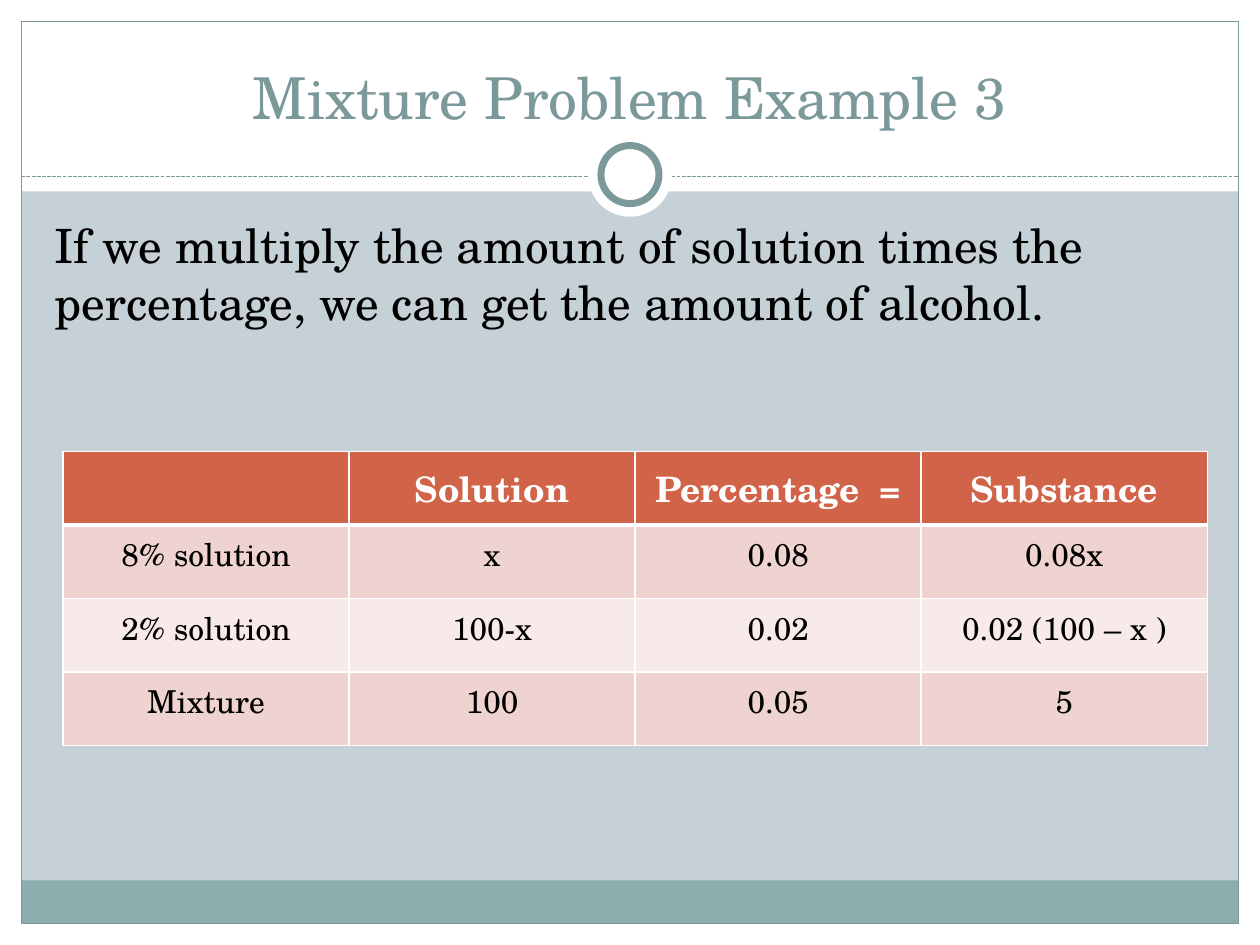
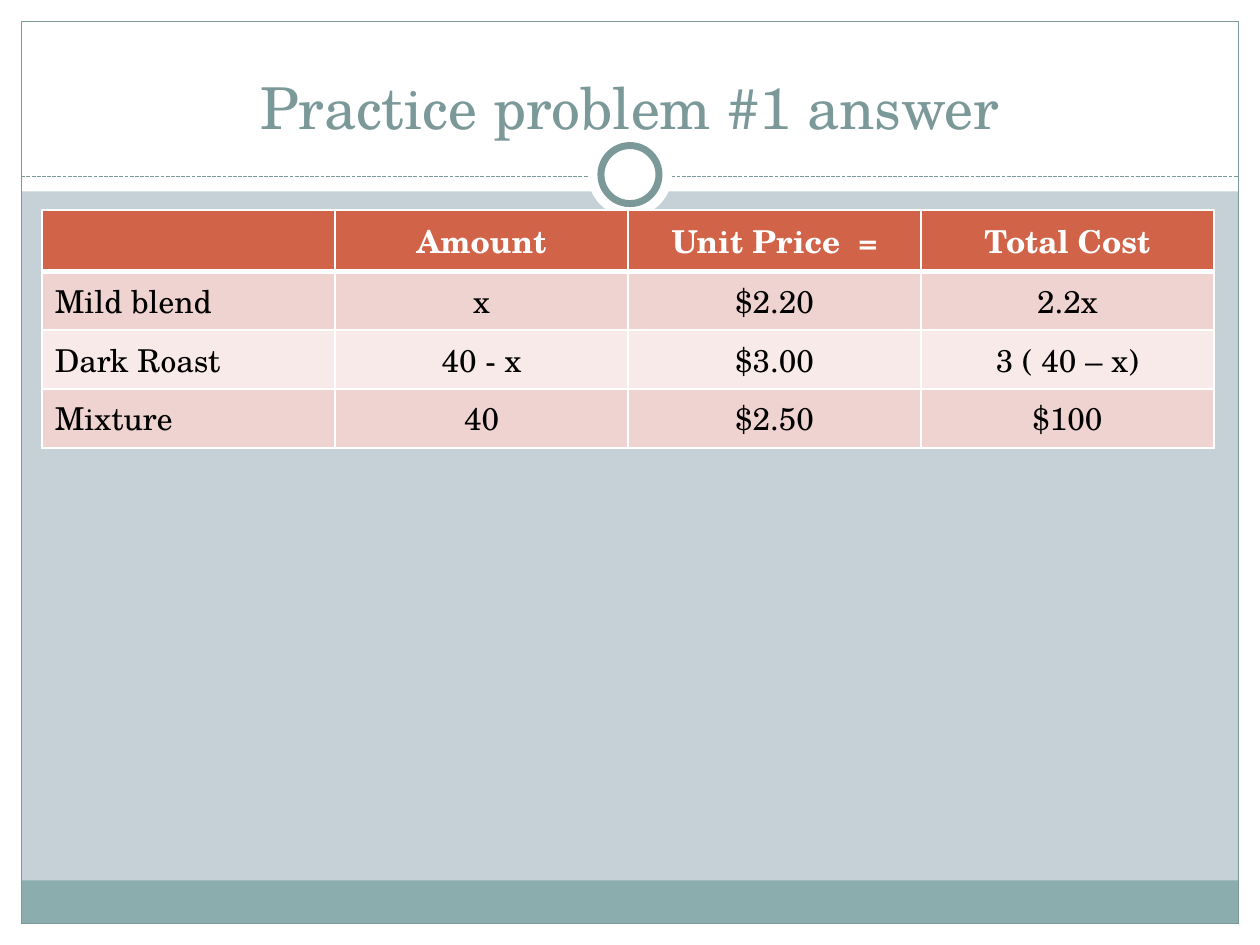
import pptx
import pptx.util
import pptx.dml.color
import pptx.enum.dml
import pptx.enum.shapes
import pptx.enum.text
import pptx.oxml
import pptx.oxml.ns

Cm, Pt = pptx.util.Cm, pptx.util.Pt
RGB = pptx.dml.color.RGBColor
ALIGN = pptx.enum.text.PP_ALIGN
ANCHOR = pptx.enum.text.MSO_ANCHOR
SHAPE = pptx.enum.shapes.MSO_SHAPE

# Shared style
FONT = "TeX Gyre Schola"
WHITE = RGB(0xFF, 0xFF, 0xFF)
BLACK = RGB(0x00, 0x00, 0x00)
MIST = RGB(0xC5, 0xD1, 0xD7)
TEAL = RGB(0x7C, 0x99, 0x9A)
BAND = RGB(0x8C, 0xAD, 0xAE)
RUST = RGB(0xD1, 0x63, 0x49)
ROSE = RGB(0xEE, 0xD3, 0xD0)
BLUSH = RGB(0xF7, 0xEA, 0xE9)
WIDE, HIGH, EDGE = 25.4, 19.05, 0.43


def write(frame, words, size=18, color=BLACK, bold=False, align=ALIGN.CENTER):
    """Put words in the first paragraph of a text frame and format them."""
    para = frame.paragraphs[0]
    para.alignment = align
    run = para.add_run()
    run.text = words
    font = run.font
    font.name, font.size, font.bold = FONT, Pt(size), bold
    font.color.rgb = color
    return para


def place(item, box):
    item.left, item.top, item.width, item.height = map(Cm, box)


class Deck:
    def __init__(self):
        self.show = pptx.Presentation()
        self.show.slide_width, self.show.slide_height = Cm(WIDE), Cm(HIGH)
        self.slide = None

    def start(self, layout):
        self.slide = self.show.slides.add_slide(self.show.slide_layouts[layout])

    def shape(self, kind, box, fill=None, line=None, width=0.75):
        item = self.slide.shapes.add_shape(kind, *map(Cm, box))
        item.shadow.inherit = False
        if fill is None:
            item.fill.background()
        else:
            item.fill.solid()
            item.fill.fore_color.rgb = fill
        if line is None:
            item.line.fill.background()
        else:
            item.line.color.rgb = line
            item.line.width = Pt(width)
        return item

    def rule(self, left, right, top):
        line = self.slide.shapes.add_connector(
            pptx.enum.shapes.MSO_CONNECTOR.STRAIGHT,
            Cm(left), Cm(top), Cm(right), Cm(top))
        line.line.color.rgb = TEAL
        line.line.width = Pt(0.75)
        line.line.dash_style = pptx.enum.dml.MSO_LINE.SQUARE_DOT
        line.element.spPr.append(pptx.oxml.parse_xml(
            "<a:effectLst %s/>" % pptx.oxml.ns.nsdecls("a")))
        return line

    def ring(self, size, line=None):
        box = ((WIDE - size) / 2, 3.52 - size / 2, size, size)
        return self.shape(SHAPE.OVAL, box, WHITE, line, 4)

    def master(self):
        """Draw the frame on the current slide, then move it to the master."""
        fill = self.show.slide_master.background.fill
        fill.solid()
        fill.fore_color.rgb = MIST
        foot = HIGH - EDGE
        rect = SHAPE.RECTANGLE
        parts = [self.shape(rect, box, WHITE) for box in (
            (0, foot, WIDE, EDGE), (0, 0, WIDE, 3.86),
            (0, 0, EDGE, HIGH), (WIDE - EDGE, 0, EDGE, HIGH))]
        inner = WIDE - 2 * EDGE
        parts += [
            self.shape(rect, (EDGE, foot - 0.87, inner, 0.87), BAND),
            self.shape(rect, (EDGE, EDGE, inner, HIGH - 2 * EDGE), line=TEAL),
            self.rule(EDGE, WIDE - EDGE, 3.56),
            self.ring(1.7),
            self.ring(1.17, TEAL)]
        tree = self.show.slide_master.shapes.element
        for spot, part in enumerate(parts):
            part.element.xpath(".//p:cNvPr")[0].set("id", str(100 + spot))
            tree.insert(2 + spot, part.element)

    def title(self, words, box):
        item = self.slide.shapes.title
        place(item, box)
        frame = item.text_frame
        frame.auto_size = pptx.enum.text.MSO_AUTO_SIZE.NONE
        frame.vertical_anchor = ANCHOR.BOTTOM
        write(frame, words, size=33, color=TEAL)

    def body(self, words, box):
        item = self.slide.placeholders[1]
        place(item, box)
        frame = item.text_frame
        frame.auto_size = pptx.enum.text.MSO_AUTO_SIZE.NONE
        para = write(frame, words, size=27, align=ALIGN.LEFT)
        para.space_before = Pt(5.4)
        props = para._p.get_or_add_pPr()
        props.set("marL", "0")
        props.set("indent", "0")
        props.append(pptx.oxml.parse_xml(
            "<a:buNone %s/>" % pptx.oxml.ns.nsdecls("a")))

    def edge(self, cell, row):
        """White cell borders, thick below the header row."""
        props = cell._tc.get_or_add_tcPr()
        thick = {"T": 3 if row == 1 else 1, "B": 3 if row == 0 else 1}
        for spot, side in enumerate("LRTB"):
            props.insert(spot, pptx.oxml.parse_xml(
                '<a:ln%s %s w="%d"><a:solidFill><a:srgbClr val="%s"/>'
                "</a:solidFill></a:ln%s>" % (
                    side, pptx.oxml.ns.nsdecls("a"),
                    Pt(thick.get(side, 1)), WHITE, side)))

    def table(self, rows, box, head=18, first=ALIGN.CENTER, anchor=ANCHOR.TOP):
        grid = self.slide.shapes.add_table(
            len(rows), len(rows[0]), *map(Cm, box)).table
        for r, row in enumerate(rows):
            for c, words in enumerate(row):
                cell = grid.cell(r, c)
                cell.fill.solid()
                cell.fill.fore_color.rgb = (
                    RUST if r == 0 else ROSE if r % 2 else BLUSH)
                self.edge(cell, r)
                cell.vertical_anchor = ANCHOR.TOP if r else anchor
                if words:
                    write(cell.text_frame, words,
                          size=18 if r else head,
                          color=BLACK if r else WHITE, bold=r == 0,
                          align=ALIGN.CENTER if c else first)


deck = Deck()

# Slide 1: worked example
deck.start(1)
deck.master()
deck.title("Mixture Problem Example 3", (0.85, 0.64, 23.7, 2.12))
deck.body("If we multiply the amount of solution times the percentage, "
          "we can get the amount of alcohol.", (0.85, 4.23, 23.62, 12.7))
deck.table([
    ("", "Solution", "Percentage  =", "Substance"),
    ("8% solution", "x", "0.08", "0.08x"),
    ("2% solution", "100-x", "0.02", "0.02 (100 – x )"),
    ("Mixture", "100", "0.05", "5"),
], (1.27, 9.1, 23.07, 5.93), head=20, anchor=ANCHOR.MIDDLE)

# Slide 2: practice answer
deck.start(5)
deck.title("Practice problem #1 answer", (1.27, 0.85, 22.86, 2.12))
deck.table([
    ("", "Amount", "Unit Price  =", "Total Cost"),
    ("Mild blend", "x", "$2.20", "2.2x"),
    ("Dark Roast", "40 - x", "$3.00", "3 ( 40 – x)"),
    ("Mixture", "40", "$2.50", "$100"),
], (0.85, 4.23, 23.62, 4.12), first=ALIGN.LEFT)

deck.show.save("out.pptx")
